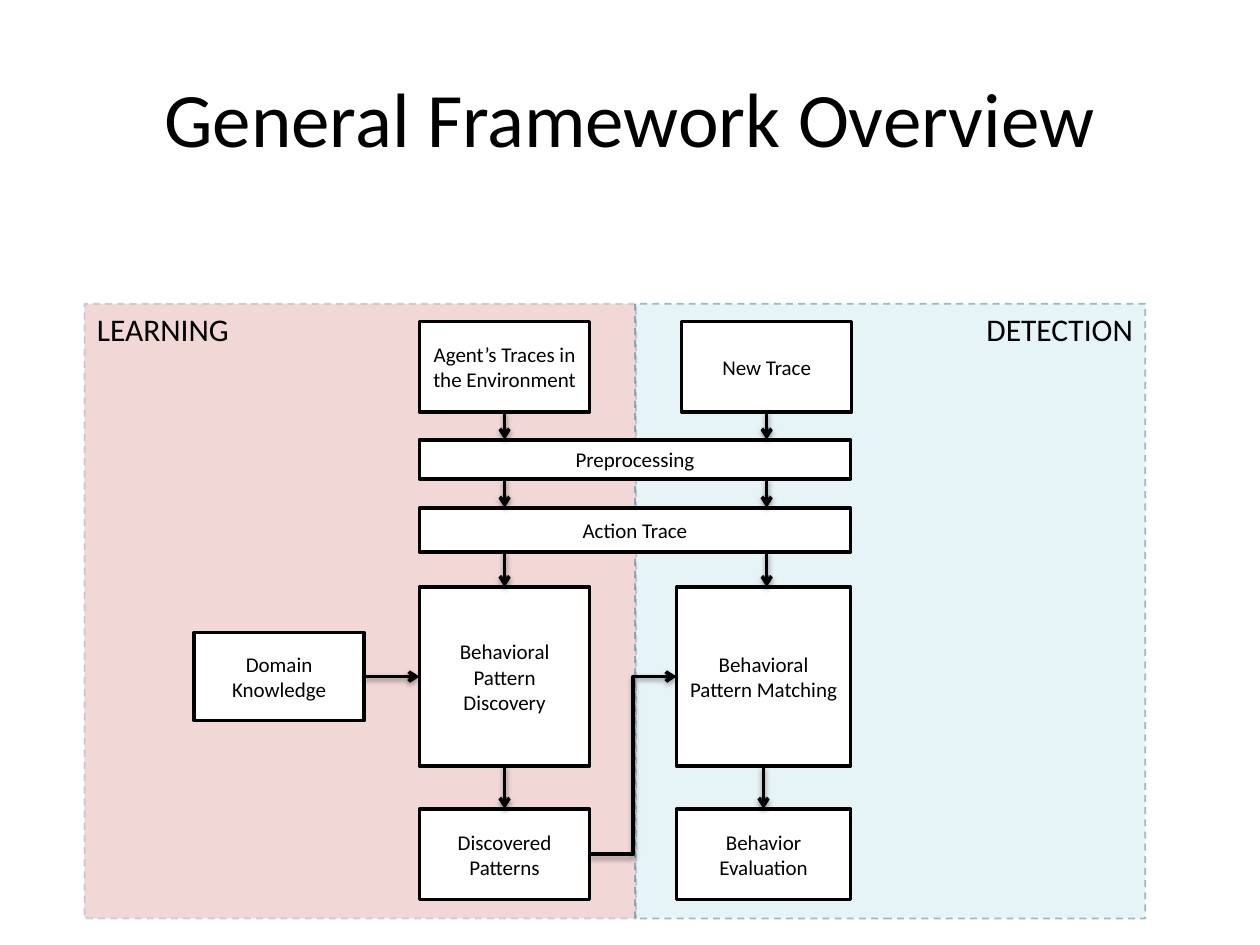
from lxml.etree import SubElement
from pptx import Presentation
from pptx.dml.color import RGBColor
from pptx.enum.dml import MSO_LINE
from pptx.enum.shapes import MSO_CONNECTOR, MSO_SHAPE
from pptx.enum.text import MSO_ANCHOR, PP_ALIGN
from pptx.oxml.ns import qn
from pptx.util import Inches, Pt

TITLE = "General Framework Overview"
COLORS = {"ink": "000000", "paper": "FFFFFF", "learning": "C0504D", "detection": "4BACC6",
          "learning_edge": "3A5F8C", "detection_edge": "377F92"}
PANELS = [
    ("LEARNING", 0.67, 4.38, "learning", 22, 23, PP_ALIGN.LEFT),
    ("DETECTION", 5.04, 4.05, "detection", 13, 50, PP_ALIGN.RIGHT),
]
PANEL_TOP, PANEL_HEIGHT = 2.41, 4.88
COL, MATCH_COL, WIDTH, MATCH_WIDTH = 3.33, 5.37, 1.35, 1.38
BOXES = {
    "traces": ("Agent’s Traces in the Environment", COL, 2.55, WIDTH, 0.72),
    "new": ("New Trace", 5.41, 2.55, WIDTH, 0.72),
    "prep": ("Preprocessing", COL, 3.49, 3.42, 0.31),
    "action": ("Action Trace", COL, 4.03, 3.42, 0.35),
    "discovery": ("Behavioral Pattern Discovery", COL, 4.66, WIDTH, 1.42),
    "matching": ("Behavioral Pattern Matching", MATCH_COL, 4.66, MATCH_WIDTH, 1.42),
    "domain": ("Domain Knowledge", 1.54, 5.02, WIDTH, 0.7),
    "patterns": ("Discovered Patterns", COL, 6.42, WIDTH, 0.72),
    "evaluation": ("Behavior Evaluation", MATCH_COL, 6.42, MATCH_WIDTH, 0.72),
}
DOWN_ARROWS = [
    ("traces", "prep", "traces"), ("new", "prep", "new"),
    ("prep", "action", "traces"), ("prep", "action", "new"),
    ("action", "discovery", "traces"), ("action", "matching", "new"),
    ("discovery", "patterns", "discovery"), ("matching", "evaluation", "matching"),
]
SIDE_ARROWS = [
    ("domain", "discovery", MSO_CONNECTOR.STRAIGHT),
    ("patterns", "matching", MSO_CONNECTOR.ELBOW),
]
LEFT_SITE, RIGHT_SITE = 1, 3


def rgb(name):
    return RGBColor.from_string(COLORS[name])


def set_alpha(fill_parent, percent):
    for clr in fill_parent.iter(qn("a:srgbClr")):
        SubElement(clr, qn("a:alpha"), val=str(percent * 1000))


def write(shape, text, size, align, anchor):
    tf = shape.text_frame
    tf.word_wrap = True
    tf.vertical_anchor = anchor
    p = tf.paragraphs[0]
    p.alignment = align
    r = p.add_run()
    r.text = text
    for key, value in {"size": Pt(size), "name": "Calibri"}.items():
        setattr(r.font, key, value)
    r.font.color.rgb = rgb("ink")


def add_box(s, left, top, width, height, fill, edge, weight):
    sp = s.shapes.add_shape(MSO_SHAPE.RECTANGLE, *map(Inches, (left, top, width, height)))
    sp.shadow.inherit = False
    sp.fill.solid()
    sp.fill.fore_color.rgb = rgb(fill)
    sp.line.color.rgb = rgb(edge)
    sp.line.width = Pt(weight)
    return sp


def add_arrow(s, kind, x1, y1, x2, y2):
    line = s.shapes.add_connector(kind, x1, y1, x2, y2)
    line.line.color.rgb = rgb("ink")
    line.line.width = Pt(2)
    SubElement(line.line._get_or_add_ln(), qn("a:tailEnd"), type="arrow")
    effects = SubElement(line._element.spPr, qn("a:effectLst"))
    shadow = SubElement(effects, qn("a:outerShdw"), blurRad=str(Pt(3.1)), dist=str(Pt(1.6)),
                        dir="5400000", rotWithShape="0")
    clr = SubElement(shadow, qn("a:srgbClr"), val=COLORS["ink"])
    SubElement(clr, qn("a:alpha"), val="38000")
    return line


prs = Presentation()
prs.slide_width, prs.slide_height = Inches(10), Inches(7.5)
s = prs.slides.add_slide(prs.slide_layouts[5])

for text, left, width, fill, fill_alpha, edge_alpha, align in PANELS:
    sp = add_box(s, left, PANEL_TOP, width, PANEL_HEIGHT, fill, fill + "_edge", 1)
    sp.line.dash_style = MSO_LINE.DASH
    set_alpha(sp._element.spPr.find(qn("a:solidFill")), fill_alpha)
    set_alpha(sp.line._get_or_add_ln(), edge_alpha)
    write(sp, text, 18, align, MSO_ANCHOR.TOP)

title = s.shapes.title
for key, value in {"left": 0.5, "top": 0.3, "width": 9, "height": 1.25}.items():
    setattr(title, key, Inches(value))
write(title, TITLE, 44, PP_ALIGN.CENTER, MSO_ANCHOR.MIDDLE)

boxes = {}
for name, (text, *place) in BOXES.items():
    boxes[name] = add_box(s, *place, "paper", "ink", 2)
    write(boxes[name], text, 12, PP_ALIGN.CENTER, MSO_ANCHOR.MIDDLE)

for start, end, column in DOWN_ARROWS:
    a, b, c = boxes[start], boxes[end], boxes[column]
    x = c.left + c.width // 2
    add_arrow(s, MSO_CONNECTOR.STRAIGHT, x, a.top + a.height, x, b.top)

for start, end, kind in SIDE_ARROWS:
    a, b = boxes[start], boxes[end]
    line = add_arrow(s, kind, a.left + a.width, a.top + a.height // 2,
                     b.left, b.top + b.height // 2)
    line.begin_connect(a, RIGHT_SITE)
    line.end_connect(b, LEFT_SITE)

prs.save("out.pptx")
